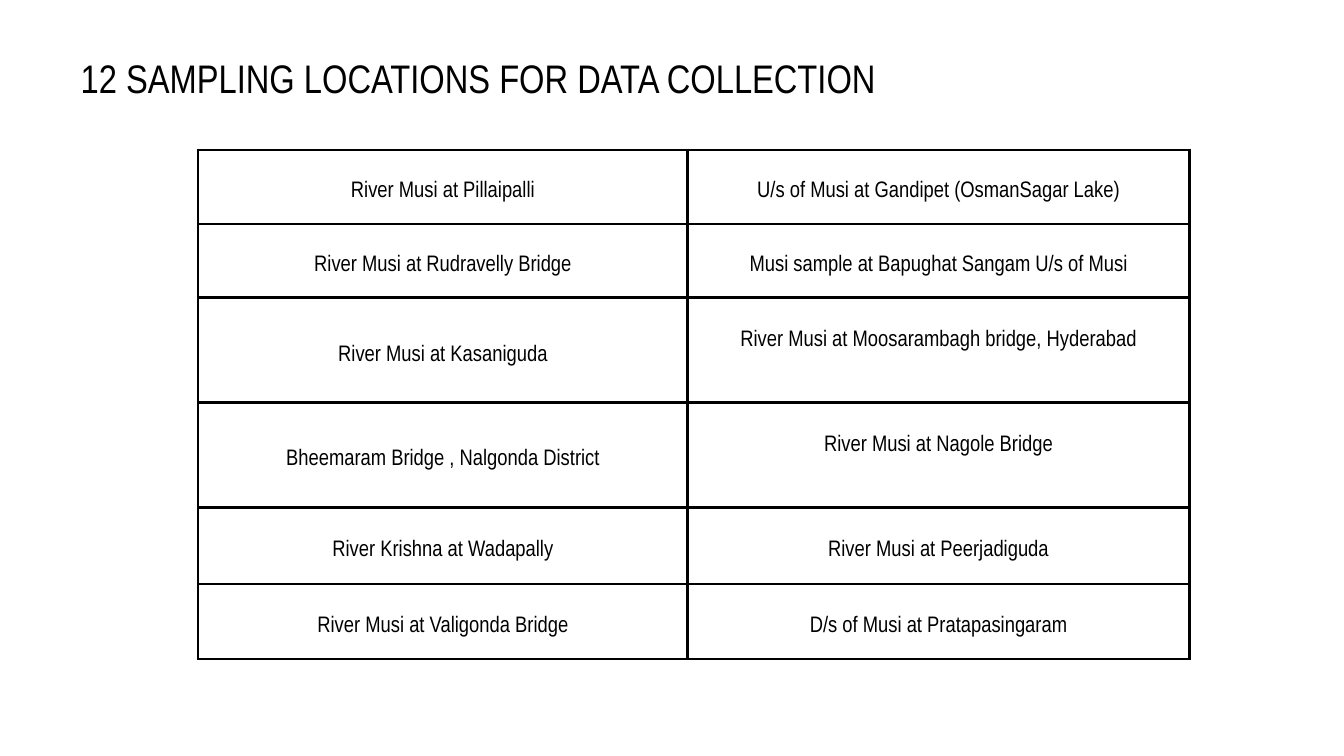
from lxml import etree
from pptx import Presentation
from pptx.dml.color import RGBColor
from pptx.enum.text import MSO_ANCHOR, MSO_AUTO_SIZE, PP_ALIGN
from pptx.oxml.ns import qn
from pptx.util import Inches, Pt

CENTER = PP_ALIGN.CENTER
MIDDLE = MSO_ANCHOR.MIDDLE
GROW = MSO_AUTO_SIZE.SHAPE_TO_FIT_TEXT
FONT = "Arial Narrow"
BLACK, WHITE = "000000", "FFFFFF"
PAD = 0.21
LOW_PAD = 0.65  # lifts the text of the two raised cells
RAISED = {(2, 1), (3, 1)}

COLS = [7.28, 7.47]
ROWS = [1.1, 1.1, 1.56, 1.56, 1.14, 1.12]
SITES = [
    ("River Musi at Pillaipalli", "U/s of Musi at Gandipet (OsmanSagar Lake)"),
    ("River Musi at Rudravelly Bridge",
     "Musi sample at Bapughat Sangam U/s of Musi"),
    ("River Musi at Kasaniguda",
     "River Musi at Moosarambagh bridge, Hyderabad"),
    ("Bheemaram Bridge , Nalgonda District", "River Musi at Nagole Bridge"),
    ("River Krishna at Wadapally", "River Musi at Peerjadiguda"),
    ("River Musi at Valigonda Bridge", "D/s of Musi at Pratapasingaram"),
]


def color(code):
    return RGBColor.from_string(code)


def write(frame, text, size, pitch):
    para = frame.paragraphs[0]
    para.text = text
    para.alignment = CENTER
    para.line_spacing = Pt(pitch)
    para.font.name = FONT
    para.font.size = Pt(size)
    para.font.color.rgb = color(BLACK)


def set_border(cell, width):
    props = cell._tc.get_or_add_tcPr()
    for spot, side in enumerate(("lnL", "lnR", "lnT", "lnB")):
        line = etree.Element(qn(f"a:{side}"), w=str(Pt(width)))
        fill = etree.SubElement(line, qn("a:solidFill"))
        etree.SubElement(fill, qn("a:srgbClr"), val=BLACK)
        props.insert(spot, line)


def add_title(slide, left, top, width, height):
    box = slide.shapes.add_textbox(
        Inches(left), Inches(top), Inches(width), Inches(height))
    frame = box.text_frame
    frame.word_wrap = True
    frame.auto_size = GROW
    frame.margin_left = frame.margin_right = 0
    frame.margin_top = frame.margin_bottom = 0
    write(frame, " 12 SAMPLING LOCATIONS FOR DATA COLLECTION", 42.7, 51.3)


def add_sites(slide, left, top):
    table = slide.shapes.add_table(
        len(ROWS), len(COLS), Inches(left), Inches(top),
        Inches(sum(COLS)), Inches(sum(ROWS))).table
    table.first_row = table.horz_banding = False
    for col, width in zip(table.columns, COLS):
        col.width = Inches(width)
    for r, (row, height) in enumerate(zip(table.rows, ROWS)):
        row.height = Inches(height)
        for c, cell in enumerate(row.cells):
            cell.fill.solid()
            cell.fill.fore_color.rgb = color(WHITE)
            cell.vertical_anchor = MIDDLE
            cell.margin_left = cell.margin_right = Inches(PAD)
            cell.margin_top = Inches(PAD)
            cell.margin_bottom = Inches(LOW_PAD if (r, c) in RAISED else PAD)
            write(cell.text_frame, SITES[r][c], 24, 33.6)
            set_border(cell, 3)


def main():
    deck = Presentation()
    deck.slide_width, deck.slide_height = Inches(20), Inches(11.25)
    slide = deck.slides.add_slide(deck.slide_layouts[6])
    add_sites(slide, 2.95, 2.23)
    add_title(slide, 0.75, 0.79, 12.61, 0.72)
    deck.save("out.pptx")


if __name__ == "__main__":
    main()
